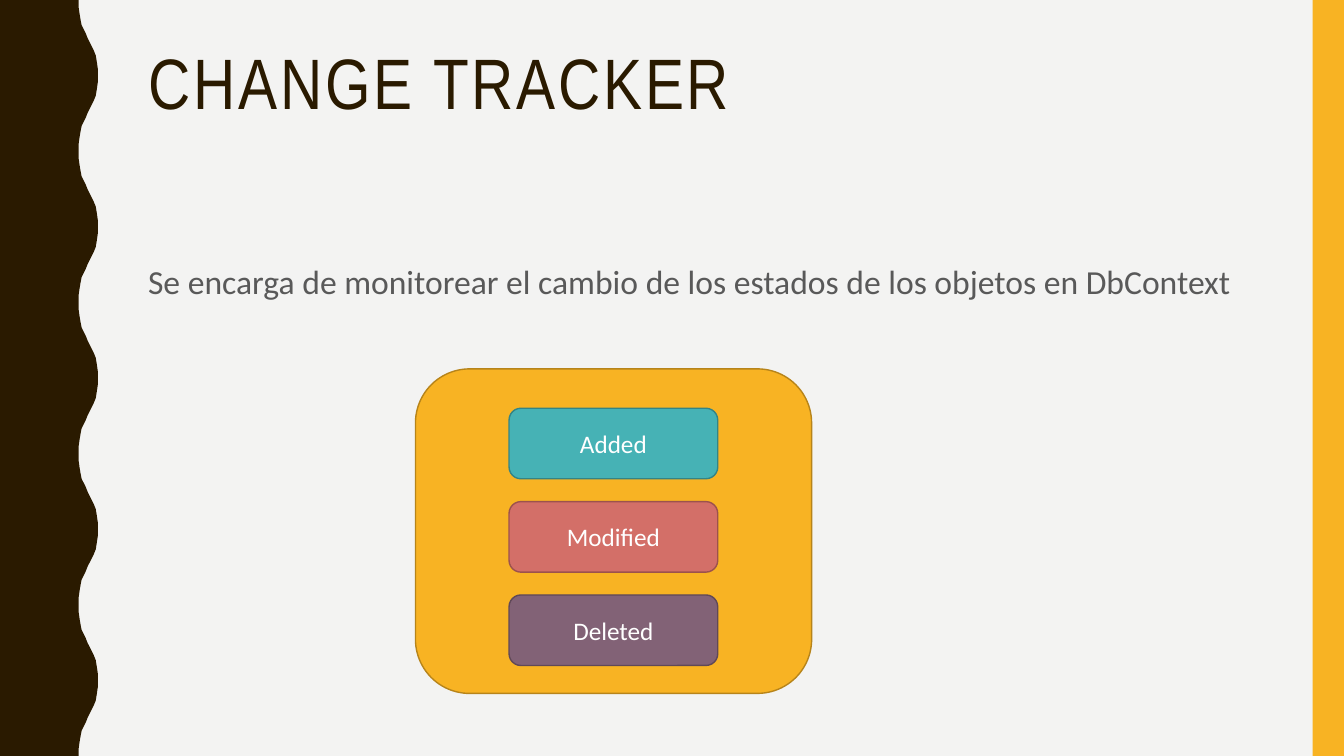
"""Build the Change Tracker slide: a wavy edge, a title, a sentence and three states."""
import dataclasses

import pptx
import pptx.dml.color
import pptx.enum.shapes
import pptx.enum.text
import pptx.util

Pt = pptx.util.Pt
Shape = pptx.enum.shapes.MSO_SHAPE
Align = pptx.enum.text.PP_ALIGN
Anchor = pptx.enum.text.MSO_ANCHOR

WIDE, HIGH = pptx.util.Inches(13.33), pptx.util.Inches(7.5)
DARK, GOLD, PALE = "2A1A00", "F8B323", "F3F3F2"
CREST = 75
CURVE = [(78, 0), (78, 7), (79, 14), (80, 20), (81, 25), (83, 29), (85, 33),
         (87, 38), (89, 42), (91, 46), (93, 50), (95, 55), (96, 61), (97, 68)]


@dataclasses.dataclass
class Box:
    """A frame in percent of the slide's width and height."""
    left: float
    top: float
    width: float
    height: float

    def frame(self) -> tuple[int, int, int, int]:
        return (round(WIDE * self.left / 100), round(HIGH * self.top / 100),
                round(WIDE * self.width / 100), round(HIGH * self.height / 100))


@dataclasses.dataclass
class State:
    """An entity state with its fill and line colours."""
    name: str
    fill: str
    line: str


STATES = [State("Added", "46B2B5", "348486"),
          State("Modified", "D36F68", "9C524D"),
          State("Deleted", "826276", "604957")]
FIRST = Box(37.88, 54, 15.53, 9.33)
PITCH = 12.35


def tint(part, color: str) -> None:
    """Give a fill or a line format a solid colour."""
    part.fill.solid()
    part.fill.fore_color.rgb = pptx.dml.color.RGBColor.from_string(color)


def write(shape, text: str, font: str, size: float, color: str,
          align=Align.LEFT, anchor=Anchor.TOP):
    """Put one styled paragraph in a shape and return it."""
    frame = shape.text_frame
    frame.word_wrap = True
    frame.auto_size = pptx.enum.text.MSO_AUTO_SIZE.NONE
    frame.vertical_anchor = anchor
    line = frame.paragraphs[0]
    line.text, line.alignment = text, align
    line.font.name, line.font.size = font, Pt(size)
    tint(line.font, color)
    return line


def block(slide, kind, box: Box, fill: str, edge: str = ""):
    """Draw a filled preset shape, outlined when an edge colour is given."""
    shape = slide.shapes.add_shape(kind, *box.frame())
    shape.shadow.inherit = False
    tint(shape, fill)
    if edge:
        tint(shape.line, edge)
        shape.line.width = Pt(1)
    else:
        shape.line.fill.background()
    return shape


def wave(slide) -> None:
    """Draw the dark left edge from five repeats of a mirrored half wave."""
    back = [(x, 2 * CREST - y) for x, y in reversed(CURVE[1:])]
    cycle = CURVE + [(97, CREST)] + back
    points = [(x, y + 2 * CREST * turn) for turn in range(5) for x, y in cycle]
    path = slide.shapes.build_freeform(0, 0, scale=HIGH / 750)
    path.add_line_segments(points + [(78, 750), (0, 750)], close=True)
    shape = path.convert_to_shape()
    shape.shadow.inherit = False
    tint(shape, DARK)
    shape.line.fill.background()


def build() -> None:
    """Assemble and save the slide."""
    deck = pptx.Presentation()
    deck.slide_width, deck.slide_height = WIDE, HIGH
    slide = deck.slides.add_slide(deck.slide_layouts[5])
    tint(slide.background, PALE)
    wave(slide)
    block(slide, Shape.RECTANGLE, Box(97.67, 0, 2.33, 100), GOLD)

    title = slide.shapes.title
    title.left, title.top, title.width, title.height = Box(10.28, 5.6, 83.5, 21.73).frame()
    head = write(title, "CHANGE TRACKER", "Arial Narrow", 51, DARK)
    head.line_spacing = 0.9
    head.runs[0].font._element.set("spc", "200")

    note = slide.shapes.add_textbox(*Box(10.28, 33.33, 83.5, 52.4).frame())
    line = write(note, "Se encarga de monitorear el cambio de los estados "
                 "de los objetos en DbContext", "Calibri", 24, "595959")
    line.line_spacing, line.space_before = 1.1, Pt(7)

    block(slide, Shape.ROUNDED_RECTANGLE, Box(30.91, 48.8, 29.48, 42.93), GOLD, "B7841A")
    for row, state in enumerate(STATES):
        box = dataclasses.replace(FIRST, top=FIRST.top + row * PITCH)
        shape = block(slide, Shape.ROUNDED_RECTANGLE, box, state.fill, state.line)
        write(shape, state.name, "Calibri", 18, "FFFFFF", Align.CENTER, Anchor.MIDDLE)

    deck.save("out.pptx")


build()
